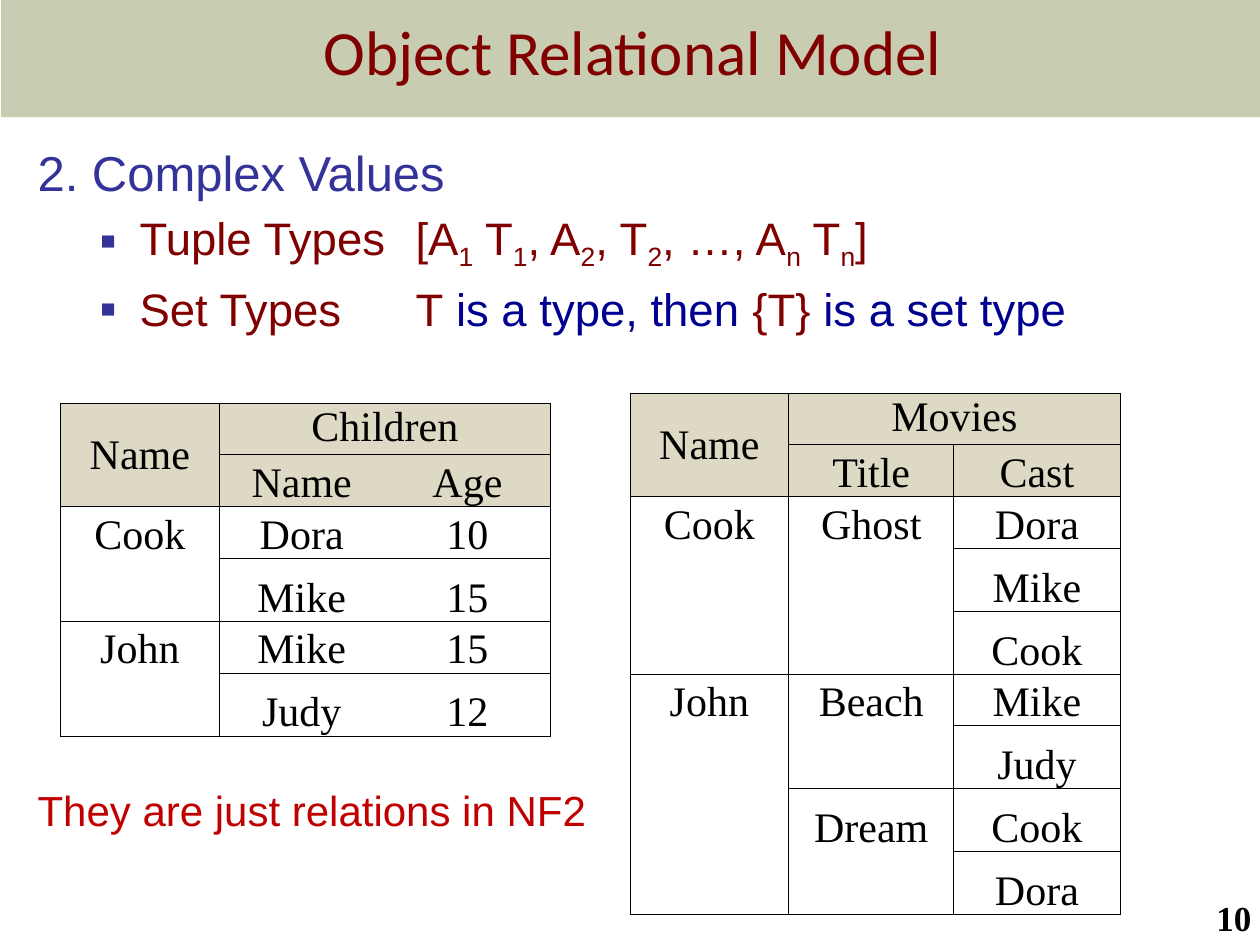
from lxml import etree
from pptx import Presentation
from pptx.dml.color import RGBColor
from pptx.enum.shapes import MSO_SHAPE
from pptx.enum.text import MSO_ANCHOR, PP_ALIGN
from pptx.oxml.ns import qn
from pptx.util import Inches, Pt

RECT = MSO_SHAPE.RECTANGLE
TOP, MIDDLE, BOTTOM = MSO_ANCHOR.TOP, MSO_ANCHOR.MIDDLE, MSO_ANCHOR.BOTTOM
LEFT, CENTER, RIGHT = PP_ALIGN.LEFT, PP_ALIGN.CENTER, PP_ALIGN.RIGHT
SERIF = "Times New Roman"
COLORS = {
    "band": "677228", "maroon": "800000", "indigo": "333399", "navy": "000090",
    "red": "C00000", "black": "000000", "white": "FFFFFF", "head": "DDD9C4",
}
COLS = (1.26, 1.31, 1.32)
CHILDREN = [
    ("Name", "Children", ""), ("", "Name", "Age"),
    ("Cook", "Dora", "10"), ("", "Mike", "15"),
    ("John", "Mike", "15"), ("", "Judy", "12"),
]
MOVIES = [
    ("Name", "Movies", ""), ("", "Title", "Cast"),
    ("Cook", "Ghost", "Dora"), ("", "", "Mike"), ("", "", "Cook"),
    ("John", "Beach", "Mike"), ("", "", "Judy"),
    ("", "Dream", "Cook"), ("", "", "Dora"),
]
TUPLE = "Tuple Types\t[A|1| T|1|, A|2|, T|2|, …, A|n| T|n|]"
SET = [("Set Types\tT", "maroon"), (" is a type, then ", "navy"),
       ("{T}", "maroon"), (" is a set type", "navy")]


def rgb(name):
    """Return the named colour."""
    return RGBColor.from_string(COLORS[name])


def node(parent, tag, **attrs):
    """Append a drawing element with the given attributes."""
    return etree.SubElement(parent, qn(tag), attrs)


def style(font, size, face, color, bold=False):
    """Set the look of a font."""
    font.size, font.name, font.bold = Pt(size), face, bold
    font.color.rgb = rgb(color)


def add_band(slide):
    """Draw the translucent band behind the title."""
    band = slide.shapes.add_shape(RECT, Inches(0.01), 0, Inches(10.02), Inches(0.93))
    band.shadow.inherit = False
    band.fill.solid()
    band.fill.fore_color.rgb = rgb("band")
    band.line.fill.background()
    for tint in band.fill._xPr.iter(qn("a:srgbClr")):
        node(tint, "a:alpha", val="36000")


def add_text(slide, box, text, look, align=LEFT, anchor=TOP, wrap=True):
    """Add a text box with one styled paragraph and return its frame."""
    frame = slide.shapes.add_textbox(*map(Inches, box)).text_frame
    frame.word_wrap, frame.vertical_anchor = wrap, anchor
    frame.text = text
    para = frame.paragraphs[0]
    para.alignment = align
    style(para.runs[0].font, *look)
    return frame


def add_bullet(frame, parts):
    """Add a bulleted line from (text, colour, baseline) parts."""
    para = frame.add_paragraph()
    para.level = 1
    props = para._p.get_or_add_pPr()
    props.set("marL", str(Inches(0.81)))
    props.set("indent", str(Inches(-0.31)))
    node(node(props, "a:buClr"), "a:srgbClr", val=COLORS["indigo"])
    node(props, "a:buSzPct", val="55000")
    node(props, "a:buFont", typeface="Arial")
    node(props, "a:buChar", char="■")
    node(node(props, "a:tabLst"), "a:tab", pos=str(Inches(3)), algn="l")
    para.space_before = Pt(5.2)
    for text, color, base in parts:
        run = para.add_run()
        run.text = text
        style(run.font, 26, "Arial", color)
        if base:
            run._r.get_or_add_rPr().set("baseline", base)


def set_edges(cell, shown):
    """Draw the shown sides of a cell and clear the others."""
    props = cell._tc.get_or_add_tcPr()
    for side in "LRTB":
        line = node(props, f"a:ln{side}", w=str(Pt(0.5)))
        if side in shown:
            node(node(line, "a:solidFill"), "a:srgbClr", val=COLORS["black"])
        else:
            node(line, "a:noFill")


def find_edges(rows, r, c, joined):
    """Return the sides to draw: groups stay open above blank cells."""
    edges = set("LRTB")
    if r > 1 and not rows[r][c]:
        edges.discard("T")
    if 1 < r < len(rows) - 1 and not rows[r + 1][c]:
        edges.discard("B")
    if joined and r and c:
        edges.discard("R" if c == 1 else "L")
    return edges


def fill_cell(cell, text, head, anchor):
    """Set the text, margins and fill of a cell."""
    cell.margin_left = cell.margin_right = cell.margin_top = Inches(0.01)
    cell.margin_bottom = 0
    cell.vertical_anchor = anchor
    cell.fill.solid()
    cell.fill.fore_color.rgb = rgb("head" if head else "white")
    if text:
        cell.text_frame.text = text
        para = cell.text_frame.paragraphs[0]
        para.alignment = CENTER
        style(para.runs[0].font, 24, SERIF, "black")


def add_nested(slide, left, top, rows, joined=False):
    """Add a nested relation with a two-row header."""
    high = [0.41 if r < 2 or row[0] else 0.5 for r, row in enumerate(rows)]
    box = map(Inches, (left, top, sum(COLS), sum(high)))
    table = slide.shapes.add_table(len(rows), len(COLS), *box).table
    table.first_row = table.horz_banding = False
    for col, width in zip(table.columns, COLS):
        col.width = Inches(width)
    for r, row in enumerate(rows):
        table.rows[r].height = Inches(high[r])
        for c, text in enumerate(row):
            cell = table.cell(r, c)
            anchor = BOTTOM if r else TOP if c else MIDDLE
            set_edges(cell, find_edges(rows, r, c, joined))
            fill_cell(cell, text, r < 2, anchor)
    table.cell(0, 0).merge(table.cell(1, 0))
    table.cell(0, 1).merge(table.cell(0, 2))


def main():
    """Build the slide and save it."""
    deck = Presentation()
    deck.slide_width, deck.slide_height = Inches(10), Inches(7.5)
    slide = deck.slides.add_slide(deck.slide_layouts[6])
    add_band(slide)
    add_text(slide, (0.52, 0, 9, 0.8), "Object Relational Model",
             (36, "Calibri", "maroon"), CENTER, MIDDLE)
    body = add_text(slide, (0.2, 1.08, 9.65, 6.6), "2. Complex Values",
                    (28, "Arial", "indigo"))
    add_bullet(body, [(text, "maroon", "-25000" if i % 2 else None)
                      for i, text in enumerate(TUPLE.split("|"))])
    add_bullet(body, [(text, color, None) for text, color in SET])
    add_text(slide, (7.95, 7, 2.08, 0.5), "10",
             (20, SERIF, "black", True), RIGHT, BOTTOM)
    add_nested(slide, 5, 3.12, MOVIES)
    add_nested(slide, 0.48, 3.2, CHILDREN, joined=True)
    add_text(slide, (0.2, 6.18, 4.6, 0.5), "They are just relations in NF2",
             (24, "Arial", "red"), wrap=False)
    deck.save("out.pptx")


if __name__ == "__main__":
    main()
